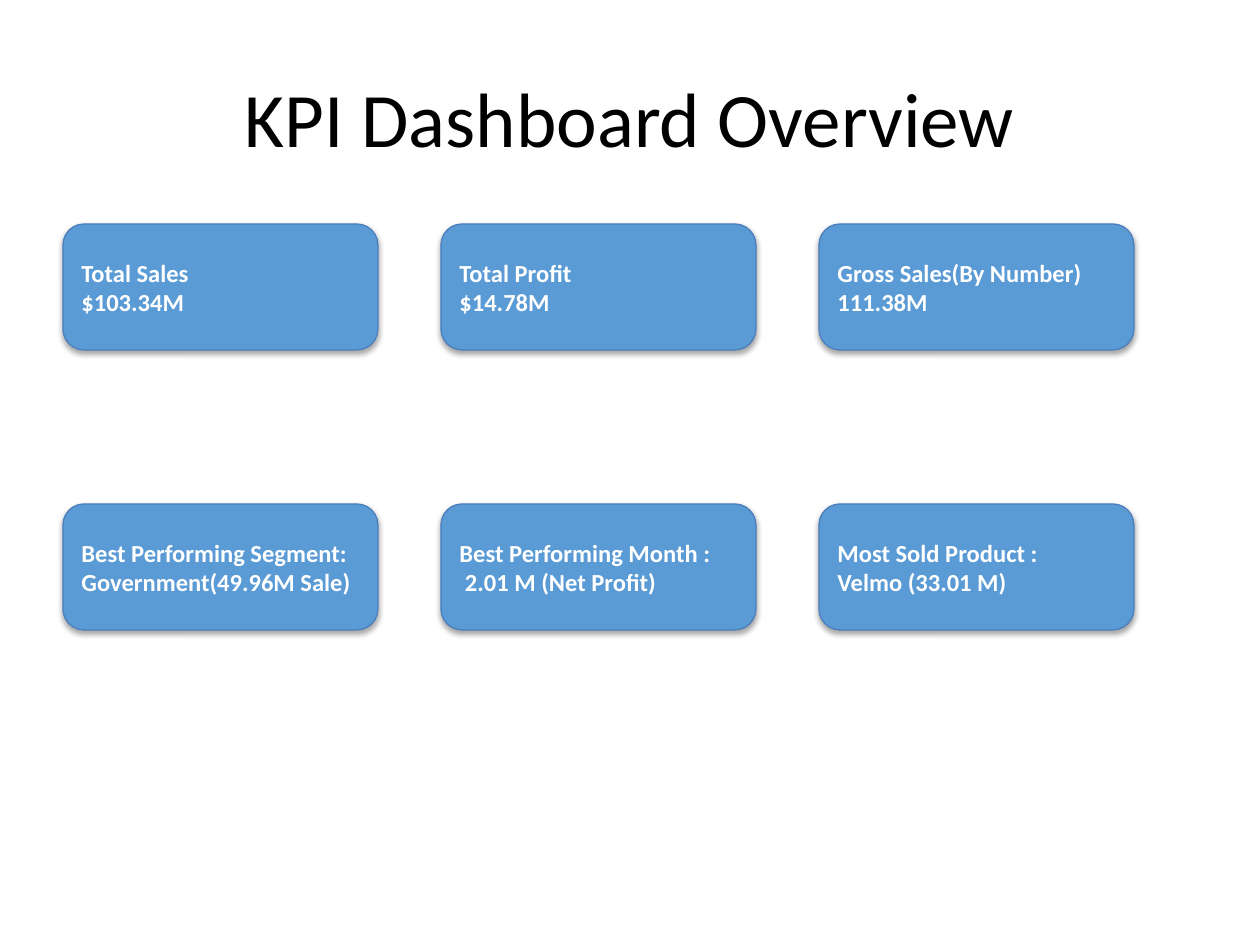
from pptx import Presentation
from pptx.dml.color import RGBColor
from pptx.enum.shapes import MSO_SHAPE
from pptx.enum.text import MSO_ANCHOR, PP_ALIGN
from pptx.util import Emu, Pt

BLACK = RGBColor(0x00, 0x00, 0x00)
WHITE = RGBColor(0xFF, 0xFF, 0xFF)
CARD_BLUE = RGBColor(0x5B, 0x9B, 0xD5)
EDGE_BLUE = RGBColor(0x4B, 0x7E, 0xBC)
FONT = "Calibri"
PX_PER_INCH = 126


def px(length):
    return Emu(round(length * 914400 / PX_PER_INCH))


def format_text(frame, size, color, align, bold):
    frame.vertical_anchor = MSO_ANCHOR.MIDDLE
    for para in frame.paragraphs:
        para.alignment = align
        for span in para.runs:
            span.font.name = FONT
            span.font.size = Pt(size)
            span.font.bold = bold
            span.font.color.rgb = color


deck = Presentation()
deck.slide_width, deck.slide_height = px(1260), px(945)
page = deck.slides.add_slide(deck.slide_layouts[5])

# Title
title = page.shapes.title
title.left, title.top, title.width, title.height = px(63), px(38), px(1134), px(158)
title.text_frame.text = "KPI Dashboard Overview"
format_text(title.text_frame, 44, BLACK, PP_ALIGN.CENTER, False)

# KPI cards: two rows of three, with the theme's soft shadow
CARD_WIDTH, CARD_HEIGHT = 315, 126
FIRST_LEFT, COLUMN_STEP = 63, 378
card_rows = [
    (224, ["Total Sales\n$103.34M",
           "Total Profit\n$14.78M",
           "Gross Sales(By Number)\n111.38M"]),
    (504, ["Best Performing Segment:\nGovernment(49.96M Sale)",
           "Best Performing Month :\n 2.01 M (Net Profit)",
           "Most Sold Product :\nVelmo (33.01 M)"]),
]
for top, labels in card_rows:
    for column, label in enumerate(labels):
        card = page.shapes.add_shape(
            MSO_SHAPE.ROUNDED_RECTANGLE,
            px(FIRST_LEFT + column * COLUMN_STEP), px(top),
            px(CARD_WIDTH), px(CARD_HEIGHT))
        card.fill.solid()
        card.fill.fore_color.rgb = CARD_BLUE
        card.line.color.rgb = EDGE_BLUE
        card.line.width = Pt(0.75)
        card.text_frame.text = label
        format_text(card.text_frame, 14, WHITE, PP_ALIGN.LEFT, True)

deck.save("out.pptx")
